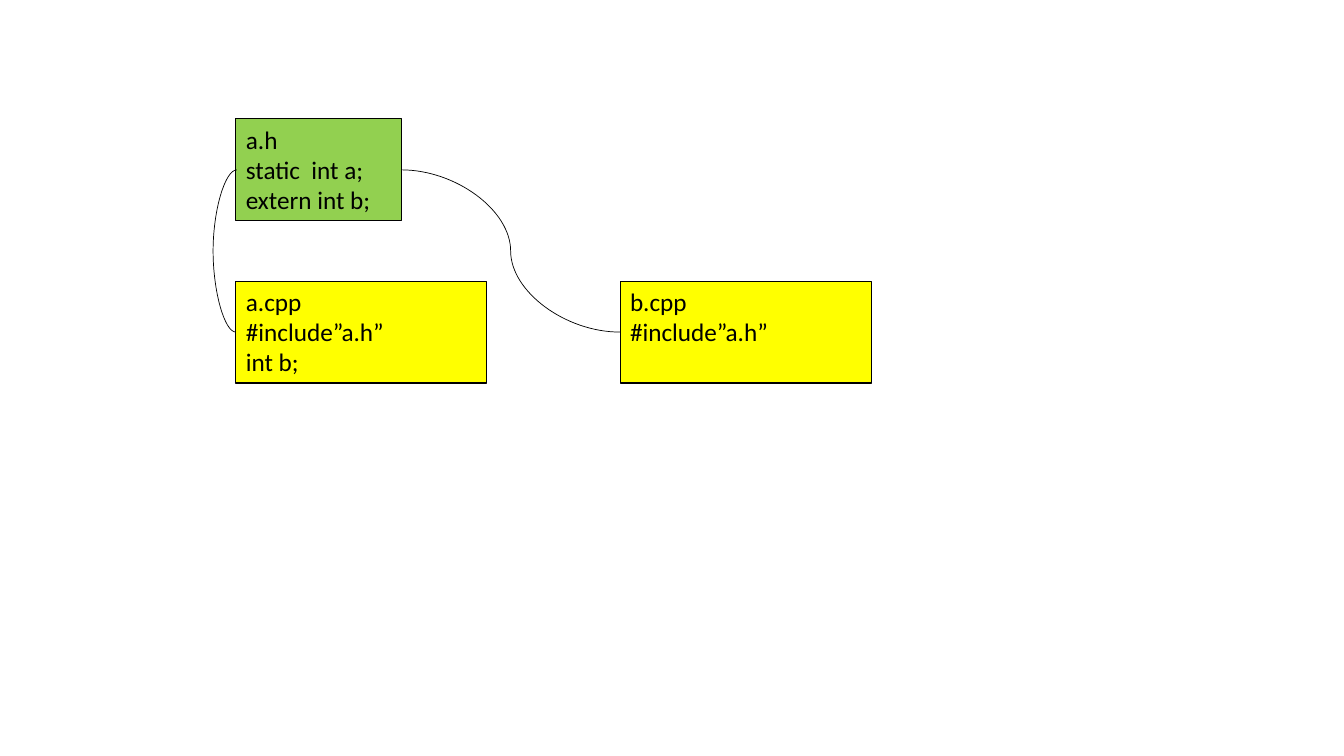
from lxml import etree
from pptx import Presentation
from pptx.dml.color import RGBColor
from pptx.enum.shapes import MSO_CONNECTOR as Connector, MSO_SHAPE as Shape
from pptx.enum.text import MSO_ANCHOR as Anchor, PP_ALIGN as Align
from pptx.oxml.ns import qn
from pptx.util import Inches, Pt

BLACK = RGBColor(0x00, 0x00, 0x00)
GREEN = RGBColor(0x92, 0xD0, 0x50)
YELLOW = RGBColor(0xFF, 0xFF, 0x00)

# Content: file name, other lines, left, top, width, fill
FILES = [
    ("a.h", ["static  int a;", "extern int b;"], 2.34, 1.18, 1.64, GREEN),
    ("a.cpp", ["#include”a.h”", "int b;"], 2.34, 2.79, 2.49, YELLOW),
    ("b.cpp", ["#include”a.h”"], 6.15, 2.79, 2.49, YELLOW),
]
# Header, its side, source file, its side, bulge to the left
INCLUDES = [("a.h", 1, "a.cpp", 1, 0.24), ("a.h", 3, "b.cpp", 1, None)]

BOX_HEIGHT = 1.01
START_SHIFT = 0.01  # gives the bulging curve a width to scale from
FONT = {"name": "Calibri", "size": Pt(18)}
FRAME = {"word_wrap": True, "vertical_anchor": Anchor.TOP}


def set_all(target, values):
    for name, value in values.items():
        setattr(target, name, value)


def add_file(page, lines, left, top, width, fill):
    box = page.shapes.add_shape(Shape.RECTANGLE, Inches(left), Inches(top),
                                Inches(width), Inches(BOX_HEIGHT))
    box.shadow.inherit = False
    box.fill.solid()
    box.fill.fore_color.rgb = fill
    box.line.color.rgb = BLACK
    box.line.width = Pt(0.75)
    frame = box.text_frame
    set_all(frame, FRAME)
    for index, line in enumerate(lines):
        para = frame.add_paragraph() if index else frame.paragraphs[0]
        para.alignment = Align.LEFT
        span = para.add_run()
        span.text = line
        set_all(span.font, FONT)
        span.font.color.rgb = BLACK
    return box


def add_include(page, header, header_side, source, source_side, bulge):
    curve = page.shapes.add_connector(Connector.CURVE, 0, 0, 0, 0)
    curve.begin_connect(header, header_side)
    curve.end_connect(source, source_side)
    curve.line.color.rgb = BLACK
    curve.line.width = Pt(0.5)
    properties = curve._element.spPr
    etree.SubElement(properties, qn("a:effectLst"))
    if bulge:
        curve.begin_x += Inches(START_SHIFT)
        ratio = round(bulge / START_SHIFT * 100000)
        guides = properties.find(qn("a:prstGeom")).get_or_add_avLst()
        etree.SubElement(guides, qn("a:gd"), name="adj1", fmla=f"val {ratio}")


def main():
    deck = Presentation()
    deck.slide_width, deck.slide_height = Inches(13.33), Inches(7.5)
    page = deck.slides.add_slide(deck.slide_layouts[6])

    # File boxes
    boxes = {name: add_file(page, [name, *lines], *place)
             for name, lines, *place in FILES}

    # Include curves
    for header, header_side, source, source_side, bulge in INCLUDES:
        add_include(page, boxes[header], header_side,
                    boxes[source], source_side, bulge)

    deck.save("out.pptx")


if __name__ == "__main__":
    main()
